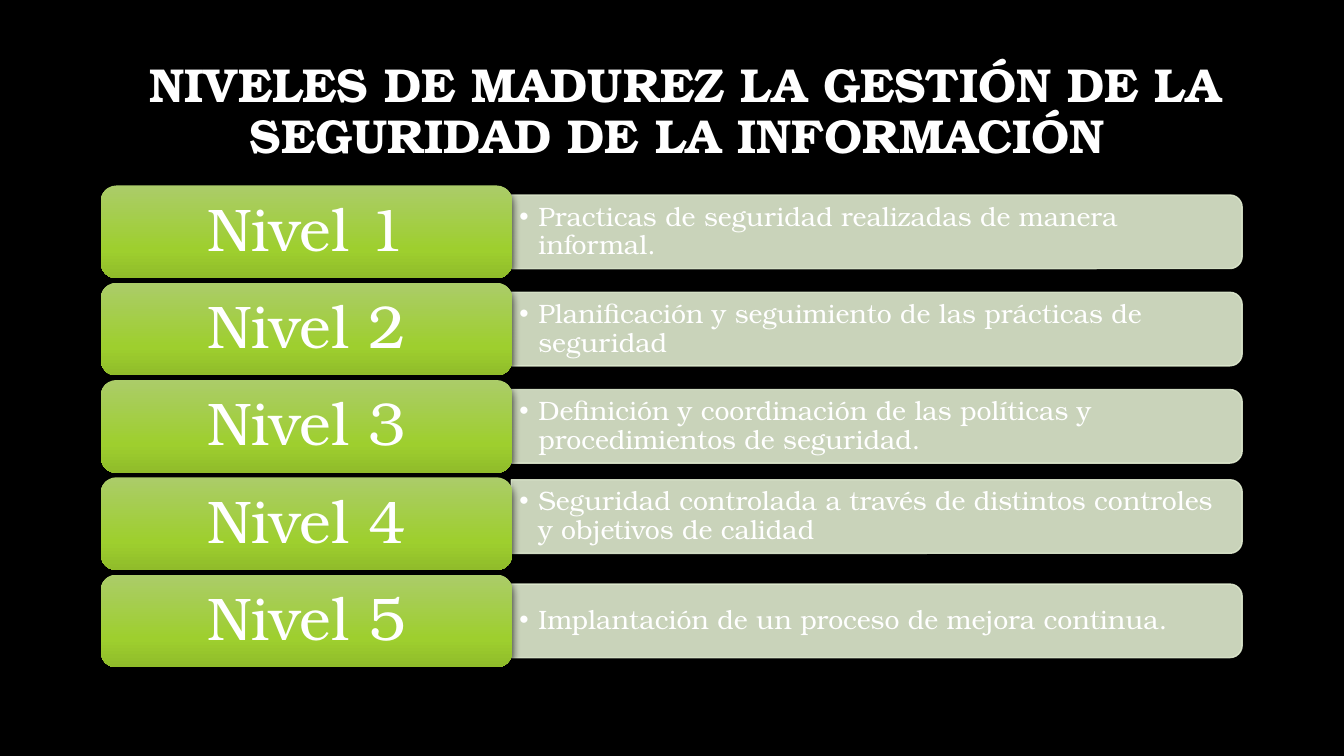
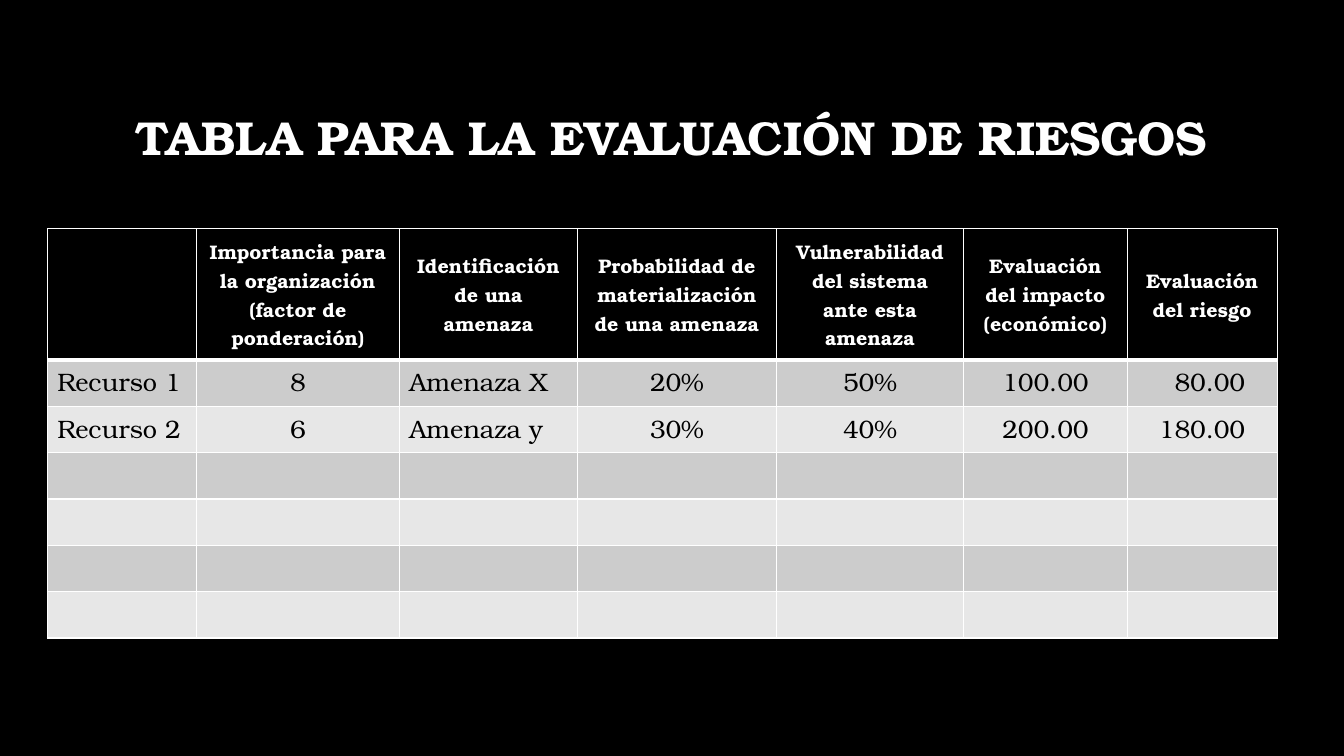
from copy import deepcopy

from lxml import etree
from pptx import Presentation
from pptx.dml.color import RGBColor
from pptx.enum.shapes import MSO_SHAPE
from pptx.enum.text import MSO_ANCHOR, PP_ALIGN
from pptx.oxml.ns import qn
from pptx.util import Emu, Pt

LEFT, CENTER, RIGHT = PP_ALIGN.LEFT, PP_ALIGN.CENTER, PP_ALIGN.RIGHT
TOP, MIDDLE = MSO_ANCHOR.TOP, MSO_ANCHOR.MIDDLE
ROUNDED, TWO_ROUNDED = MSO_SHAPE.ROUNDED_RECTANGLE, MSO_SHAPE.ROUND_2_SAME_RECTANGLE

EMU_PER_PX = 9144  # 100 px to the inch
TITLE_ONLY = 5
FONT = "TeX Gyre Bonum"
BULLET_FONT = "Arial"
COLORS = {
    "black": "000000", "white": "FFFFFF", "band": "DFEACF",
    "green_top": "ABCC69", "green_mid": "9ECF2E", "green_low": "90BC2A",
    "row_dark": "CCCCCC", "row_light": "E7E7E7",
}
LABEL_STOPS = [(0, "green_top"), (0.69, "green_mid"), (1, "green_low")]

LEVELS = [
    ("Nivel 1", "Practicas de seguridad realizadas de manera informal."),
    ("Nivel 2", "Planificación y seguimiento de las prácticas de seguridad"),
    ("Nivel 3", "Definición y coordinación de las políticas y procedimientos de seguridad."),
    ("Nivel 4", "Seguridad controlada a través de distintos controles y objetivos de calidad"),
    ("Nivel 5", "Implantación de un proceso de mejora continua."),
]
BAND_SHIFTS = [0, 0, 0, -7, 0]  # the fourth band sits a little higher

RISK_HEADERS = [
    "", "Importancia para la organización (factor de ponderación)",
    "Identificación de una amenaza", "Probabilidad de materialización de una amenaza",
    "Vulnerabilidad del sistema ante esta amenaza",
    "Evaluación del impacto (económico)", "Evaluación del riesgo",
]
RISK_ROWS = [
    ["Recurso 1", "8", "Amenaza X", "20%", "50%", "100.00", "80.00"],
    ["Recurso 2", "6", "Amenaza y", "30%", "40%", "200.00", "180.00"],
]
EMPTY_ROWS = 4
RISK_WIDTHS = [148, 201, 177, 197, 186, 162, 149]
RISK_ALIGNS = [LEFT, CENTER, LEFT, CENTER, CENTER, CENTER, RIGHT]


def px(length):
    return Emu(round(length * EMU_PER_PX))


def px_box(left, top, width, height):
    return px(left), px(top), px(width), px(height)


def rgb(name):
    return RGBColor.from_string(COLORS[name])


def add_xml(parent, tag, **attributes):
    return etree.SubElement(parent, qn(tag), {key: str(value) for key, value in attributes.items()})


def add_alpha(color_parent, percent):
    add_xml(color_parent.find(".//" + qn("a:srgbClr")), "a:alpha", val=percent * 1000)


def write_text(frame, text, size=18, color="white", bold=False, align=LEFT, spacing=1.0, bullet=0):
    """Write one paragraph; bullet is the hanging indent in px."""
    para = frame.paragraphs[0]
    para.alignment = align
    para.line_spacing = spacing
    if bullet:
        props = para._p.get_or_add_pPr()
        props.set("marL", str(px(bullet)))
        props.set("indent", str(-px(bullet)))
        add_xml(props, "a:buFont", typeface=BULLET_FONT)
        add_xml(props, "a:buChar", char="•")
    span = para.add_run()
    span.text = text
    span.font.name = FONT
    span.font.size = Pt(size)
    span.font.bold = bold
    span.font.color.rgb = rgb(color)


def set_frame(frame, side, edge):
    frame.word_wrap = True
    frame.vertical_anchor = MIDDLE
    frame.margin_left = frame.margin_right = px(side)
    frame.margin_top = frame.margin_bottom = px(edge)


def add_shadow(shape, blur, opacity):
    shape.shadow.inherit = False
    effects = shape._element.spPr.find(qn("a:effectLst"))
    shadow = add_xml(effects, "a:outerShdw", blurRad=Pt(blur), dist=Pt(3), dir=5400000,
                     algn="ctr", rotWithShape=0)
    add_xml(shadow, "a:srgbClr", val=COLORS["black"])
    add_alpha(shadow, opacity)


def add_page(deck, title, box):
    page = deck.slides.add_slide(deck.slide_layouts[TITLE_ONLY])
    holder = page.shapes.title
    holder.left, holder.top, holder.width, holder.height = px_box(*box)
    set_frame(holder.text_frame, 10, 5)
    write_text(holder.text_frame, title, size=34, bold=True, align=CENTER, spacing=0.9)
    return page


def add_band(page, text, left, top, width, height):
    # Upright shape turned a quarter, so its round corners face right
    turned = (left + (width - height) / 2, top + (height - width) / 2, height, width)
    band = page.shapes.add_shape(TWO_ROUNDED, *px_box(*turned))
    band.rotation = 90
    band.fill.solid()
    band.fill.fore_color.rgb = rgb("band")
    band.line.color.rgb = rgb("band")
    band.line.width = Pt(1)
    for part in ("a:solidFill", "a:ln"):
        add_alpha(band._element.spPr.find(qn(part)), 90)
    add_shadow(band, 4, 54)
    # Level text
    detail = page.shapes.add_textbox(*px_box(left, top + 4, width - 4, height - 8))
    set_frame(detail.text_frame, 8, 4)
    write_text(detail.text_frame, text, size=19, spacing=0.9, bullet=19)


def add_label(page, text, *box):
    label = page.shapes.add_shape(ROUNDED, *px_box(*box))
    label.fill.gradient()
    label.fill.gradient_angle = 270
    stops = label._element.spPr.find(".//" + qn("a:gsLst"))
    stops.append(deepcopy(stops[-1]))
    for stop, (position, color) in zip(label.fill.gradient_stops, LABEL_STOPS):
        stop.position = position
        stop.color.rgb = rgb(color)
    label.line.fill.background()
    add_shadow(label, 6, 76)
    set_frame(label.text_frame, 22, 13)
    write_text(label.text_frame, text, size=43, align=CENTER, spacing=0.9)


def add_level_list(page, left, top, width, height):
    label_width, label_height, band_height = 408, 92, 73
    pitch = (height - label_height) / (len(LEVELS) - 1)
    for index, ((name, detail), shift) in enumerate(zip(LEVELS, BAND_SHIFTS)):
        row_top = top + index * pitch
        band_top = row_top + (label_height - band_height) / 2 + shift
        add_band(page, detail, left + label_width - 1, band_top,
                 width - label_width + 1, band_height)
        add_label(page, name, left, row_top, label_width, label_height)


def style_cell(cell, fill, top=1, bottom=1):
    props = cell._tc.get_or_add_tcPr()
    for side, weight in (("L", 1), ("R", 1), ("T", top), ("B", bottom)):
        line = add_xml(props, "a:ln" + side, w=Pt(weight))
        add_xml(add_xml(line, "a:solidFill"), "a:srgbClr", val=COLORS["white"])
    cell.fill.solid()
    cell.fill.fore_color.rgb = rgb(fill)


def add_risk_table(page, left, top, header_height, row_height):
    rows = RISK_ROWS + [[""] * len(RISK_HEADERS)] * EMPTY_ROWS
    height = header_height + row_height * len(rows)
    table = page.shapes.add_table(len(rows) + 1, len(RISK_HEADERS),
                                  *px_box(left, top, sum(RISK_WIDTHS), height)).table
    table.horz_banding = False
    for column, width in zip(table.columns, RISK_WIDTHS):
        column.width = px(width)
    for index, row in enumerate(table.rows):
        row.height = px(row_height if index else header_height)
    # Header row
    for cell, text in zip(table.rows[0].cells, RISK_HEADERS):
        style_cell(cell, "black", bottom=3)
        cell.vertical_anchor = MIDDLE
        if text:
            write_text(cell.text_frame, text, size=14, bold=True, align=CENTER)
    # Body rows
    for index, values in enumerate(rows, 1):
        for cell, text, align in zip(table.rows[index].cells, values, RISK_ALIGNS):
            style_cell(cell, "row_dark" if index % 2 else "row_light", top=3 if index == 1 else 1)
            cell.vertical_anchor = TOP
            if align == RIGHT:
                cell.margin_right = px(32)
            if text:
                write_text(cell.text_frame, text, color="black", align=align)


def main():
    deck = Presentation()
    deck.slide_width, deck.slide_height = px(1333), px(750)
    background = deck.slide_master.background.fill
    background.solid()
    background.fore_color.rgb = rgb("black")

    levels = add_page(deck, "NIVELES DE MADUREZ LA GESTIÓN DE LA SEGURIDAD DE LA INFORMACIÓN ",
                      (114, 39, 1132, 145))
    add_level_list(levels, 100, 184, 1132, 478)

    risks = add_page(deck, "TABLA PARA LA EVALUACIÓN DE RIESGOS", (100, 66, 1132, 145))
    add_risk_table(risks, 47, 227, 130, 46)

    deck.save("out.pptx")


if __name__ == "__main__":
    main()
